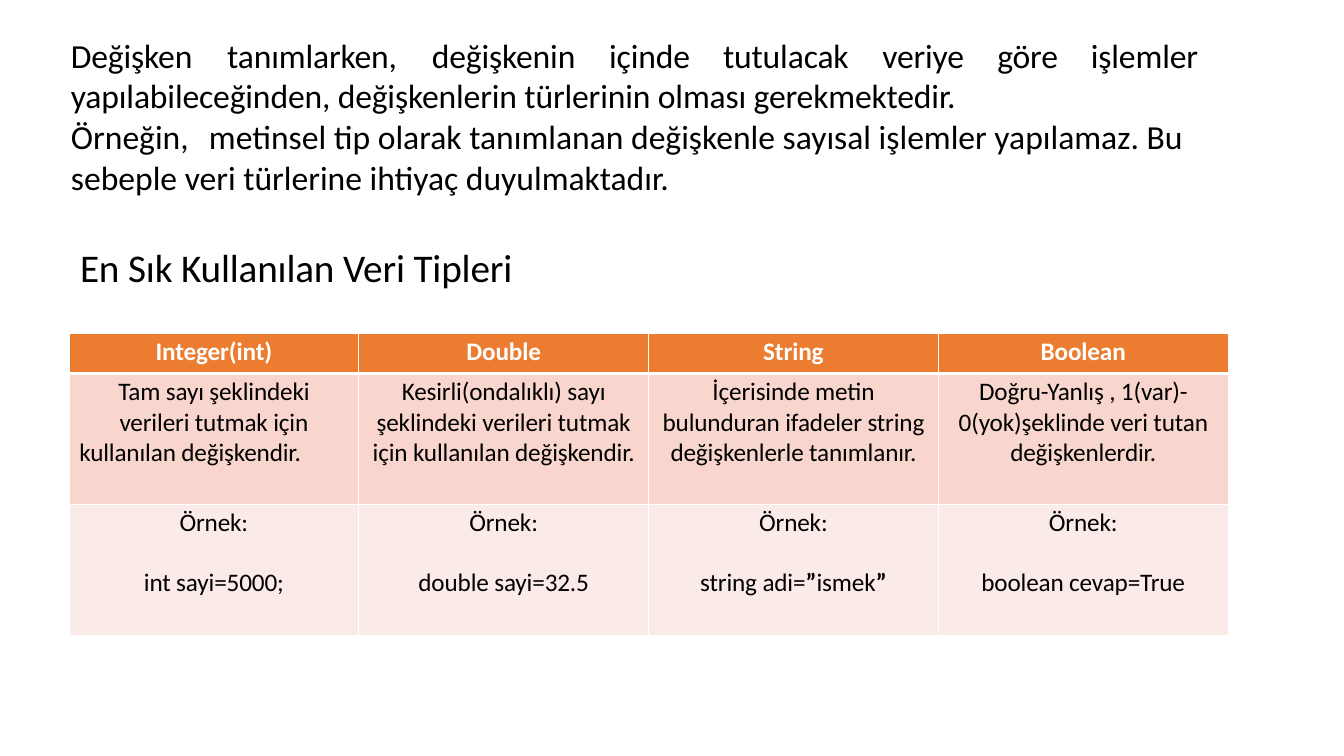
from lxml.etree import SubElement
from pptx import Presentation
from pptx.dml.color import RGBColor
from pptx.enum.text import MSO_ANCHOR, MSO_AUTO_SIZE, PP_ALIGN
from pptx.oxml.ns import qn
from pptx.util import Pt

FONT = "Calibri"
BLACK, WHITE = "000000", "FFFFFF"
HEADER_FILL, DESCRIPTION_FILL, EXAMPLE_FILL = "EC7C30", "F8D6CD", "FBEBE8"
QUOTE = "”"

INTRO = ("Değişken\ttanımlarken,\tdeğişkenin\tiçinde\ttutulacak\tveriye\tgöre\t"
         "işlemler yapılabileceğinden, değişkenlerin türlerinin olması gerekmektedir.")
INTRO_TABS = [111.6, 257.8, 384.5, 465.8, 579.6, 661.7, 728.6]
TITLE_LINES = ["Örneğin,\tmetinsel tip olarak tanımlanan değişkenle sayısal işlemler yapılamaz. Bu",
               "sebeple veri türlerine ihtiyaç duyulmaktadır."]
TITLE_TABS = [98.6]

TYPES = ["Integer(int)", "Double", "String", "Boolean"]
# Each description line: text, left margin, right margin
DESCRIPTIONS = [
    [("Tam sayı şeklindeki verileri tutmak için", 34, 34),
     ("kullanılan değişkendir.", 0, 34)],
    [("Kesirli(ondalıklı) sayı", 0, 0),
     ("şeklindeki verileri tutmak", 0, 0),
     ("için kullanılan değişkendir.", 0, 0)],
    [("İçerisinde metin bulunduran ifadeler string değişkenlerle tanımlanır.", 9, 9)],
    [("Doğru-Yanlış , 1(var)- 0(yok)şeklinde veri tutan değişkenlerdir.", 13, 13)],
]
EXAMPLES = [["int sayi=5000;"], ["double sayi=32.5"],
            ["string adi=", QUOTE, "ismek", QUOTE], ["boolean cevap=True"]]


def color(value):
    return RGBColor.from_string(value)


def apply_format(target, values):
    for name, value in values.items():
        setattr(target, name, value)


def add_run(paragraph, text, size, hex_color, bold=False, spacing=-0.1):
    run = paragraph.add_run()
    run.text = text
    apply_format(run.font, {"name": FONT, "size": Pt(size), "bold": bold})
    run.font.color.rgb = color(hex_color)
    run._r.get_or_add_rPr().set("spc", str(round(spacing * 100)))


def set_tabs(paragraph, positions):
    tabs = SubElement(paragraph._p.get_or_add_pPr(), qn("a:tabLst"))
    for position in positions:
        SubElement(tabs, qn("a:tab"), pos=str(Pt(position)), algn="l")


def next_paragraph(frame, index):
    return frame.paragraphs[0] if index == 0 else frame.add_paragraph()


def write_text(shape, box, lines, size, tabs=(), spacing=-0.1):
    """Place a text shape and fill it with left-aligned lines."""
    apply_format(shape, dict(zip(("left", "top", "width", "height"), map(Pt, box))))
    frame = shape.text_frame
    apply_format(frame, {"margin_left": Pt(1), "margin_top": Pt(1), "margin_right": 0,
                         "margin_bottom": 0, "word_wrap": True,
                         "auto_size": MSO_AUTO_SIZE.SHAPE_TO_FIT_TEXT})
    for index, line in enumerate(lines):
        paragraph = next_paragraph(frame, index)
        apply_format(paragraph, {"alignment": PP_ALIGN.LEFT, "line_spacing": 1.0,
                                 "space_before": Pt(0 if index else 1)})
        if "\t" in line:
            set_tabs(paragraph, tabs)
        add_run(paragraph, line, size, BLACK, spacing=spacing)


def set_borders(cell, widths):
    properties = cell._tc.get_or_add_tcPr()
    for position, (side, width) in enumerate(widths.items()):
        line = properties.makeelement(qn(f"a:ln{side}"), {"w": str(Pt(width))})
        fill = SubElement(line, qn("a:solidFill"))
        SubElement(fill, qn("a:srgbClr"), val=WHITE)
        properties.insert(position, line)


def format_cell(cell, fill, top=1, bottom=1):
    apply_format(cell, {"margin_left": 0, "margin_right": 0, "margin_top": Pt(2.2),
                        "margin_bottom": 0, "vertical_anchor": MSO_ANCHOR.TOP})
    cell.fill.solid()
    cell.fill.fore_color.rgb = color(fill)
    set_borders(cell, {"L": 1, "R": 1, "T": top, "B": bottom})


def add_cell_line(cell, index, pieces, hex_color=BLACK, bold=False, gap=0, margins=(0, 0)):
    paragraph = next_paragraph(cell.text_frame, index)
    apply_format(paragraph, {"alignment": PP_ALIGN.CENTER,
                             "space_before": Pt(gap if index else 2.5)})
    for name, margin in zip(("marL", "marR"), margins):
        paragraph._p.get_or_add_pPr().set(name, str(Pt(margin)))
    for piece in pieces:
        add_run(paragraph, piece, 18, hex_color, bold or piece == QUOTE)


def add_types_table(slide):
    row_heights = [28.8, 93.6, 93.6]
    frame = slide.shapes.add_table(3, len(TYPES), Pt(49.3), Pt(237.9),
                                   Pt(828), Pt(sum(row_heights)))
    table = frame.table
    for row, height in zip(table.rows, row_heights):
        row.height = Pt(height)
    for column, (name, description, example) in enumerate(zip(TYPES, DESCRIPTIONS, EXAMPLES)):
        table.columns[column].width = Pt(207)
        header, details, sample = (table.cell(row, column) for row in range(3))

        format_cell(header, HEADER_FILL, bottom=3)
        add_cell_line(header, 0, [name], WHITE, bold=True)

        format_cell(details, DESCRIPTION_FILL, top=3)
        for index, (text, *margins) in enumerate(description):
            add_cell_line(details, index, [text], margins=margins)

        format_cell(sample, EXAMPLE_FILL)
        add_cell_line(sample, 0, ["Örnek:"])
        add_cell_line(sample, 1, example, gap=21)


def main():
    presentation = Presentation()
    apply_format(presentation, {"slide_width": Pt(960), "slide_height": Pt(540)})
    slide = presentation.slides.add_slide(presentation.slide_layouts[5])

    title = slide.shapes.title
    write_text(title, (49.7, 81.4, 807.2, 59.8), TITLE_LINES, 24, TITLE_TABS, spacing=0)
    title.text_frame.vertical_anchor = MSO_ANCHOR.MIDDLE

    for box, text, size, tabs in [
        ((49.7, 23.8, 807.2, 59.8), INTRO, 24, INTRO_TABS),
        ((56.2, 172.8, 330, 35.3), "En Sık Kullanılan Veri Tipleri", 28, ()),
    ]:
        write_text(slide.shapes.add_textbox(*map(Pt, box)), box, [text], size, tabs)
    add_types_table(slide)
    presentation.save("out.pptx")


if __name__ == "__main__":
    main()
